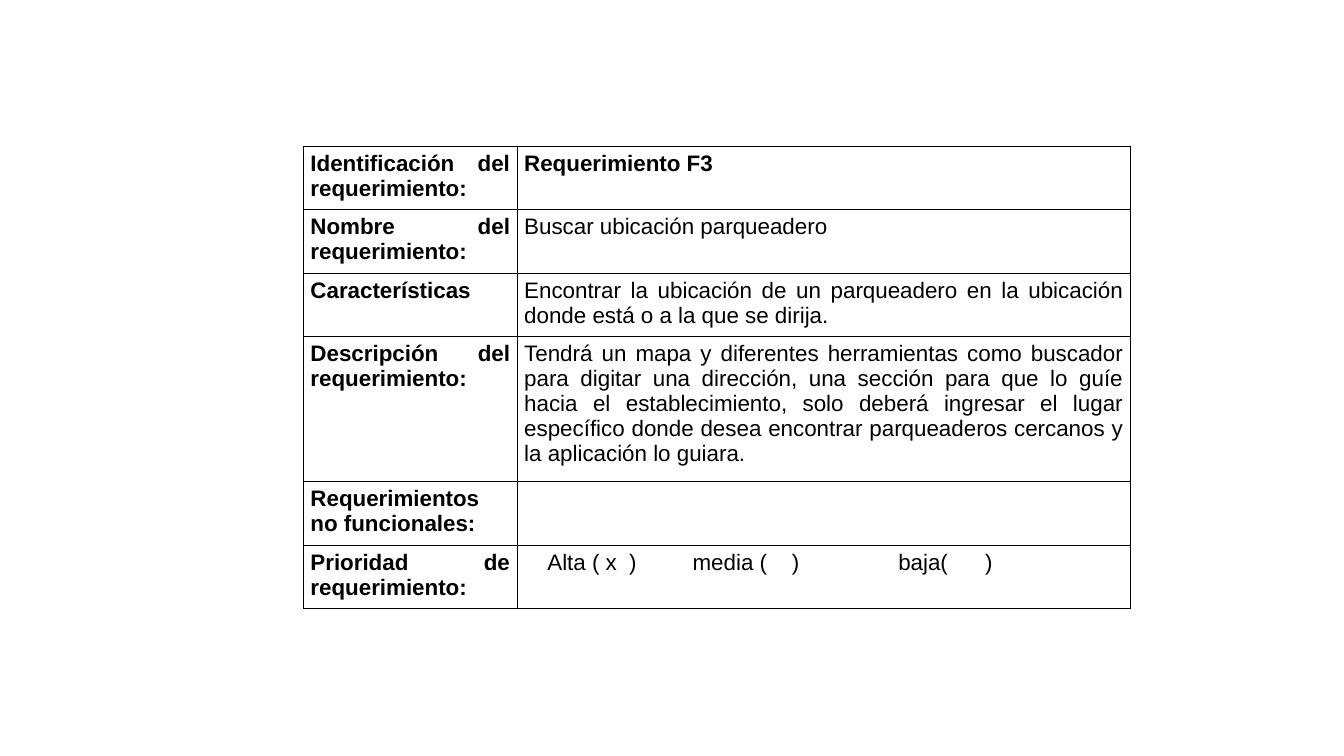
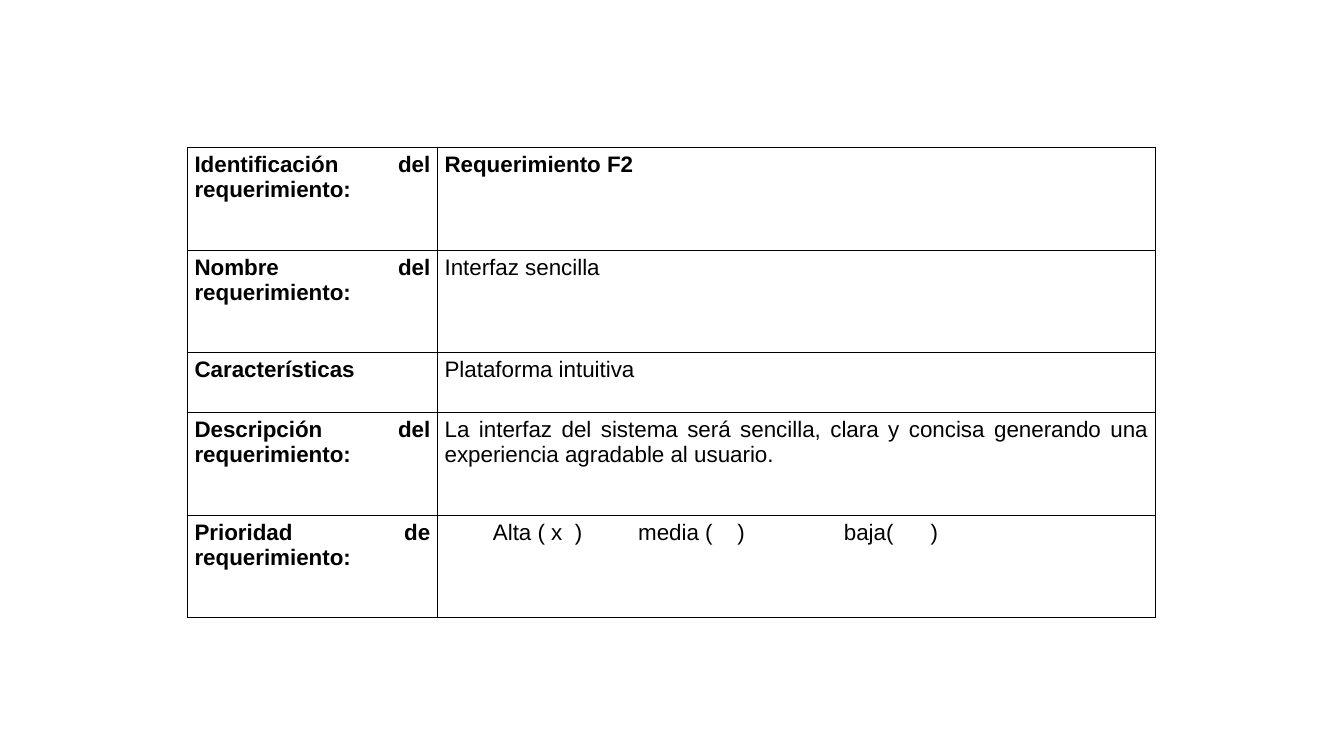
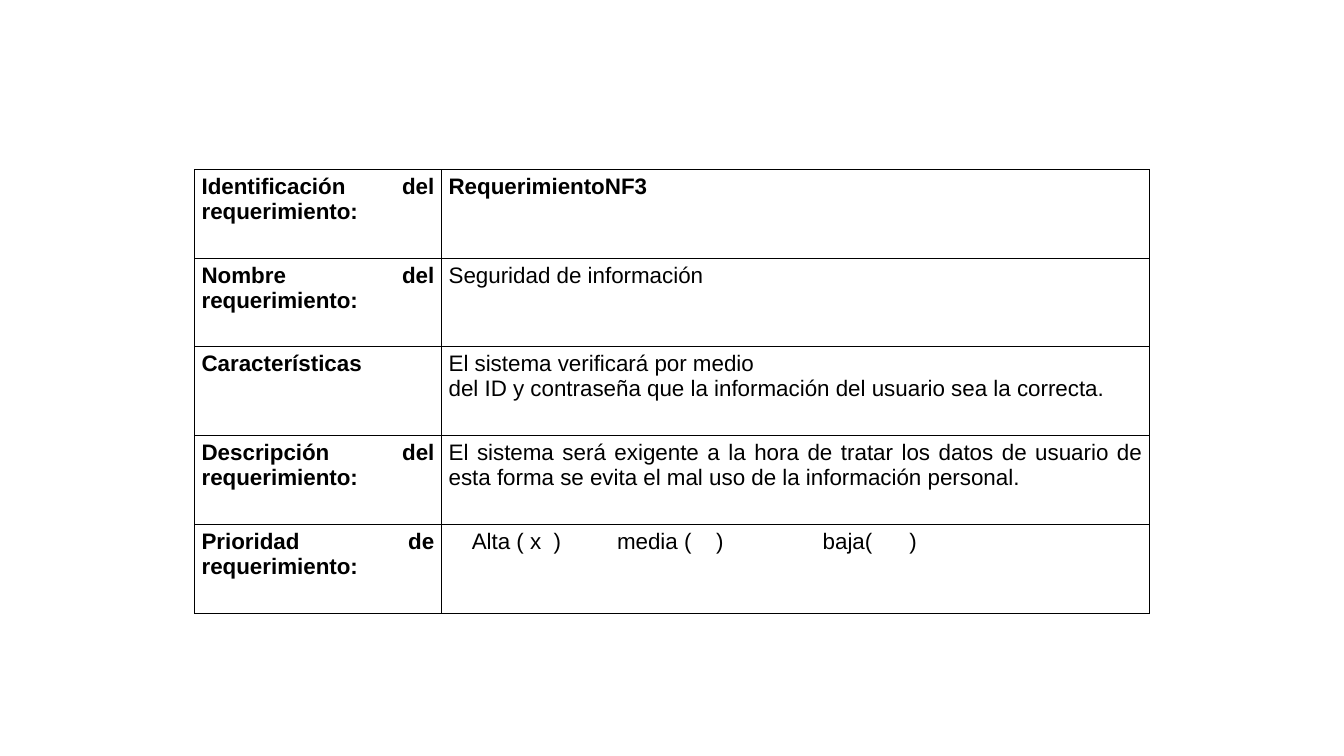
from lxml import etree
from pptx import Presentation
from pptx.dml.color import RGBColor
from pptx.enum.text import PP_ALIGN
from pptx.oxml.ns import qn
from pptx.util import Inches, Pt

JUSTIFY = PP_ALIGN.JUSTIFY
LEFT = PP_ALIGN.LEFT
COLORS = {"text": "000000", "border": "000000"}
FONT = "Arial"
FONT_SIZE = Pt(16)
BORDER_WIDTH = Pt(0.5)
PRIORITY_OFFSETS = [0, 1.44, 3.48]

IDENTIFICATION = "Identificación del requerimiento:"
NAME = "Nombre del requerimiento:"
FEATURES = "Características"
DESCRIPTION = "Descripción del requerimiento:"
NON_FUNCTIONAL = "Requerimientos no funcionales:"
PRIORITY = "Prioridad de requerimiento:"
PRIORITY_CHOICES = "\tAlta ( x  )\tmedia (    )\tbaja(      )"

REQUIREMENTS = [
    {
        "position": (3.01, 1.45),
        "columns": [2.12, 6.08],
        "priority_start": 0.23,
        "rows": [
            (0.63, IDENTIFICATION, "Requerimiento F3"),
            (0.63, NAME, "Buscar ubicación parqueadero"),
            (0.63, FEATURES, "Encontrar la ubicación de un parqueadero en la ubicación "
             "donde está o a la que se dirija."),
            (1.44, DESCRIPTION, "Tendrá un mapa y diferentes herramientas como buscador "
             "para digitar una dirección, una sección para que lo guíe hacia el "
             "establecimiento, solo deberá ingresar el lugar específico donde desea "
             "encontrar parqueaderos cercanos y la aplicación lo guiara."),
            (0.63, NON_FUNCTIONAL, ""),
            (0.63, PRIORITY, PRIORITY_CHOICES),
        ],
    },
    {
        "position": (1.86, 1.46),
        "columns": [2.48, 7.12],
        "priority_start": 0.48,
        "rows": [
            (1.02, IDENTIFICATION, "Requerimiento F2"),
            (1.02, NAME, "Interfaz sencilla"),
            (0.59, FEATURES, "Plataforma intuitiva"),
            (1.02, DESCRIPTION, "La interfaz del sistema será sencilla, clara y concisa "
             "generando una experiencia agradable al usuario."),
            (1.02, PRIORITY, PRIORITY_CHOICES),
        ],
    },
    {
        "position": (1.93, 1.68),
        "columns": [2.45, 7.02],
        "priority_start": 0.23,
        "rows": [
            (0.88, IDENTIFICATION, "RequerimientoNF3"),
            (0.88, NAME, "Seguridad de información"),
            (0.88, FEATURES, "El sistema verificará por medio\n"
             "del ID y contraseña que la información del usuario sea la correcta."),
            (0.88, DESCRIPTION, "El sistema será exigente a la hora de tratar los datos de "
             "usuario de esta forma se evita el mal uso de la información personal."),
            (0.88, PRIORITY, PRIORITY_CHOICES),
        ],
    },
]


def format_cell(cell, text, bold):
    cell.margin_left = cell.margin_right = Inches(0.07)
    cell.margin_top = cell.margin_bottom = Inches(0.05)
    properties = cell._tc.get_or_add_tcPr()
    for side in ("lnL", "lnR", "lnT", "lnB"):
        line = etree.SubElement(properties, qn(f"a:{side}"), w=str(BORDER_WIDTH))
        fill = etree.SubElement(line, qn("a:solidFill"))
        etree.SubElement(fill, qn("a:srgbClr"), val=COLORS["border"])
    cell.fill.background()
    cell.text_frame.text = text
    for paragraph in cell.text_frame.paragraphs:
        paragraph.alignment = JUSTIFY
        for run in paragraph.runs:
            run.font.name = FONT
            run.font.size = FONT_SIZE
            run.font.bold = bold
            run.font.color.rgb = RGBColor.from_string(COLORS["text"])


def set_priority_tabs(cell, start):
    paragraph = cell.text_frame.paragraphs[0]
    paragraph.alignment = LEFT
    tabs = etree.SubElement(paragraph._p.get_or_add_pPr(), qn("a:tabLst"))
    for offset in PRIORITY_OFFSETS:
        etree.SubElement(tabs, qn("a:tab"), pos=str(Inches(start + offset)), algn="l")


presentation = Presentation()
presentation.slide_width = Inches(13.33)
presentation.slide_height = Inches(7.5)
blank_layout = presentation.slide_layouts[6]

for requirement in REQUIREMENTS:
    slide = presentation.slides.add_slide(blank_layout)
    left, top = requirement["position"]
    columns = requirement["columns"]
    rows = requirement["rows"]
    table = slide.shapes.add_table(
        len(rows), len(columns), Inches(left), Inches(top),
        Inches(sum(columns)), Inches(sum(height for height, _, _ in rows)),
    ).table
    table.first_row = False
    table.horz_banding = False
    for column, width in zip(table.columns, columns):
        column.width = Inches(width)
    for index, (height, label, value) in enumerate(rows):
        table.rows[index].height = Inches(height)
        format_cell(table.cell(index, 0), label, True)
        format_cell(table.cell(index, 1), value, label == IDENTIFICATION)
        if label == PRIORITY:
            set_priority_tabs(table.cell(index, 1), requirement["priority_start"])

presentation.save("out.pptx")
